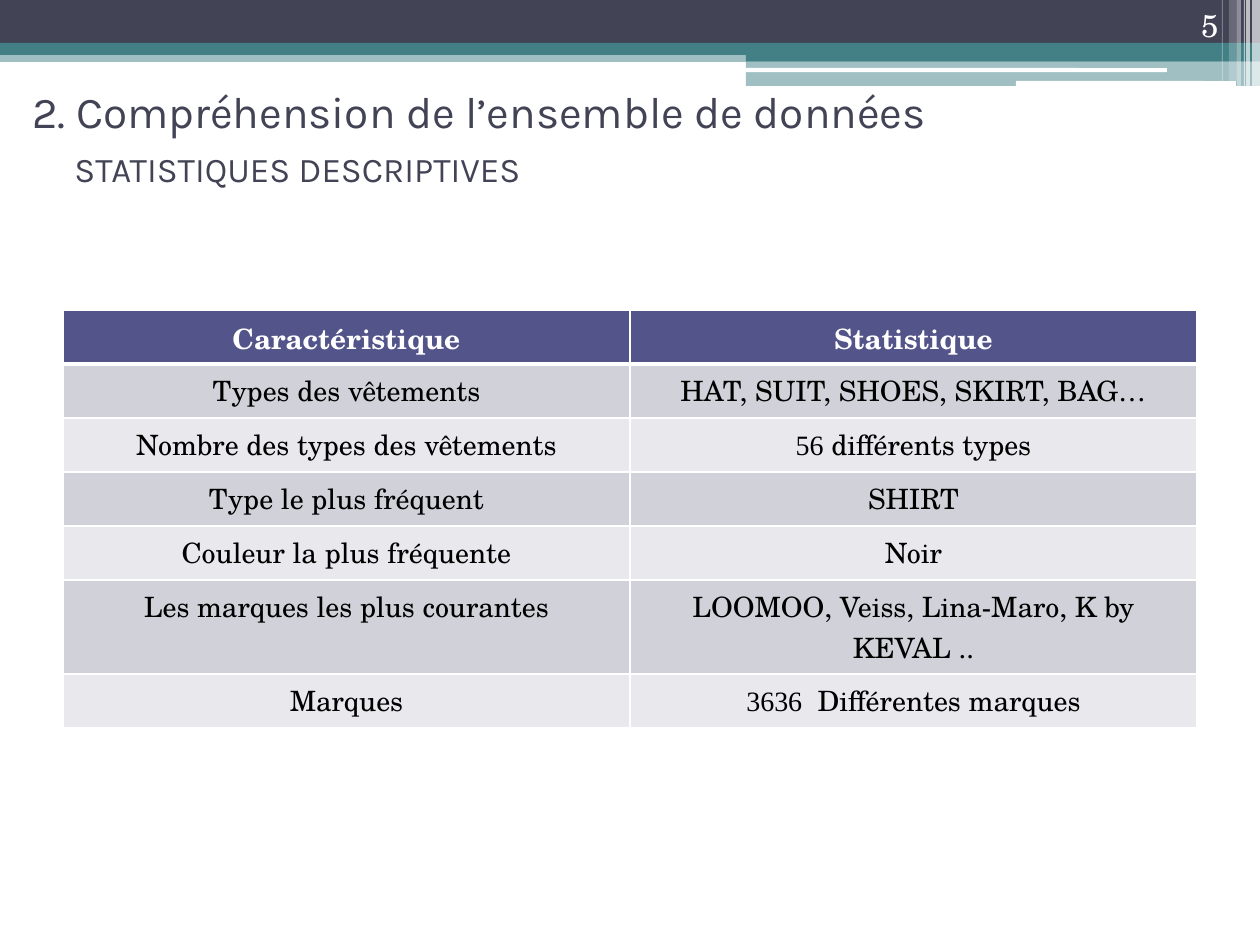
from dataclasses import dataclass

from lxml import etree
from pptx import Presentation
from pptx.dml.color import RGBColor
from pptx.enum.shapes import MSO_SHAPE
from pptx.enum.text import MSO_ANCHOR, PP_ALIGN
from pptx.oxml.ns import qn
from pptx.util import Emu, Pt

RECT, ROUNDED = MSO_SHAPE.RECTANGLE, MSO_SHAPE.ROUNDED_RECTANGLE
LEFT, CENTER, RIGHT = PP_ALIGN.LEFT, PP_ALIGN.CENTER, PP_ALIGN.RIGHT
MIDDLE, BOTTOM = MSO_ANCHOR.MIDDLE, MSO_ANCHOR.BOTTOM
EMU_PER_PX = 914400 / 126


@dataclass(frozen=True)
class Theme:
    """Colours, fonts and type sizes of the slide."""
    dark: str = "424456"
    teal: str = "438086"
    white: str = "FFFFFF"
    black: str = "000000"
    header: str = "53548A"
    bands: tuple = ("D1D1DA", "E9E9ED")
    heading_font: str = "Karla"
    body_font: str = "TeX Gyre Schola"
    digit_font: str = "Times New Roman"
    title_size: float = 25.2
    subtitle_size: float = 19.8
    table_size: int = 16
    number_size: int = 18


THEME = Theme()
BRANDS_ROW = 5
TEXT_LINE = 40
ROWS = [
    ("Caractéristique", "Statistique"),
    ("Types des vêtements", "HAT, SUIT, SHOES, SKIRT, BAG…"),
    ("Nombre des types des vêtements", ("56", " différents types")),
    ("Type le plus fréquent", "SHIRT"),
    ("Couleur la plus fréquente", "Noir"),
    ("Les marques les plus courantes", "LOOMOO, Veiss, Lina-Maro, K by KEVAL .."),
    ("Marques", ("3636", "  Différentes marques")),
]


def px(length):
    """Turn px into EMU."""
    return Emu(round(length * EMU_PER_PX))


def add_span(para, text, font=THEME.body_font, size=THEME.table_size,
             color=THEME.black, bold=False):
    """Add formatted text to a paragraph."""
    span = para.add_run()
    span.text = text
    span.font.name = font
    span.font.size = Pt(size)
    span.font.bold = bold
    span.font.color.rgb = RGBColor.from_string(color)


def add_bar(page, box, color, alpha=100, kind=RECT):
    """Add a plain bar with an opacity in percent."""
    bar = page.shapes.add_shape(kind, *map(px, box))
    bar.shadow.inherit = False
    bar.line.fill.background()
    bar.fill.solid()
    bar.fill.fore_color.rgb = RGBColor.from_string(color)
    if alpha < 100:
        tint = bar.fill._xPr.find(".//" + qn("a:srgbClr"))
        etree.SubElement(tint, qn("a:alpha"), val=str(alpha * 1000))


def add_text_box(page, box, anchor):
    """Add a wrapping text box and return its frame."""
    frame = page.shapes.add_textbox(*map(px, box)).text_frame
    frame.word_wrap = True
    frame.vertical_anchor = anchor
    return frame


def add_banner(page, box):
    """Draw the layered bands and the fading stripes at the right edge."""
    left, top, width, height = box
    tab = left + 746
    tab_width = width - 746
    bands = [
        (left, 50, width, 12, THEME.teal, 50, RECT),
        (left, 0, width, 43, THEME.dark, 100, RECT),
        (left, 43, width, 12, THEME.teal, 100, RECT),
        (tab, 49, tab_width, 12, THEME.teal, 100, RECT),
        (tab, 61, tab_width, 25, THEME.teal, 50, RECT),
        (tab - 1, 68, 422, 4, THEME.white, 100, ROUNDED),
        (left + 1016, 81, 220, 5, THEME.white, 100, ROUNDED),
    ]
    for x, y, w, h, color, alpha, kind in bands:
        add_bar(page, (x, top + y, w, h), color, alpha, kind)
    stripes = [(8, 8, 0, 65), (14, 4, 0, 65), (16, 1, 0, 60),
               (23, 4, 0, 40), (31, 8, 5, 20), (38, 1, 5, 30)]
    for inset, w, cut, alpha in stripes:
        add_bar(page, (left + width - inset, top, w, height - cut),
                THEME.white, alpha)


def add_title(page, box):
    """Write the numbered title and its indented subtitle."""
    frame = add_text_box(page, box, MIDDLE)
    para = frame.paragraphs[0]
    para.alignment = LEFT
    heading = {"font": THEME.heading_font, "color": THEME.dark}
    add_span(para, "2. Compréhension de l’ensemble de données",
             size=THEME.title_size, **heading)
    para = frame.add_paragraph()
    para.alignment = LEFT
    para.space_before = Pt(6)
    para._p.get_or_add_pPr().set("marL", str(px(42)))
    add_span(para, "STATISTIQUES DESCRIPTIVES",
             size=THEME.subtitle_size, **heading)


def set_borders(cell, top, bottom):
    """Give a cell white borders, with top and bottom widths in points."""
    properties = cell._tc.get_or_add_tcPr()
    sides = {"L": 1, "R": 1, "T": top, "B": bottom}
    for place, (side, width) in enumerate(sides.items()):
        line = etree.Element(qn(f"a:ln{side}"), w=str(Pt(width)))
        fill = etree.SubElement(line, qn("a:solidFill"))
        etree.SubElement(fill, qn("a:srgbClr"), val=THEME.white)
        properties.insert(place, line)


def fill_cell(cell, content, row):
    """Write and style one cell according to its row."""
    is_header = row == 0
    cell.fill.solid()
    color = THEME.header if is_header else THEME.bands[(row - 1) % 2]
    cell.fill.fore_color.rgb = RGBColor.from_string(color)
    set_borders(cell, 3 if row == 1 else 1, 3 if is_header else 1)
    para = cell.text_frame.paragraphs[0]
    para.alignment = CENTER
    for text in (content,) if isinstance(content, str) else content:
        add_span(para, text, bold=is_header,
                 font=THEME.digit_font if text.isdigit() else THEME.body_font,
                 color=THEME.white if is_header else THEME.black)


def add_statistics(page, box):
    """Build the statistics table, with one more text line for the brands."""
    table = page.shapes.add_table(len(ROWS), len(ROWS[0]), *map(px, box)).table
    row_height = (box[3] - TEXT_LINE) // len(ROWS)
    for row, contents in enumerate(ROWS):
        extra = TEXT_LINE if row == BRANDS_ROW else 0
        table.rows[row].height = px(row_height + extra)
        for column, content in enumerate(contents):
            fill_cell(table.cell(row, column), content, row)


def add_page_number(page, box):
    """Write the page number in the banner."""
    para = add_text_box(page, box, BOTTOM).paragraphs[0]
    para.alignment = RIGHT
    add_span(para, "5", size=THEME.number_size, color=THEME.white)


def main():
    """Build and save the deck."""
    deck = Presentation()
    deck.slide_width, deck.slide_height = px(1260), px(945)
    page = deck.slides.add_slide(deck.slide_layouts[6])
    add_banner(page, (0, 0, 1260, 86))
    add_title(page, (20, 88, 1043, 98))
    add_statistics(page, (63, 310, 1134, 418))
    add_page_number(page, (1126, 0, 105, 50))
    deck.save("out.pptx")


if __name__ == "__main__":
    main()
